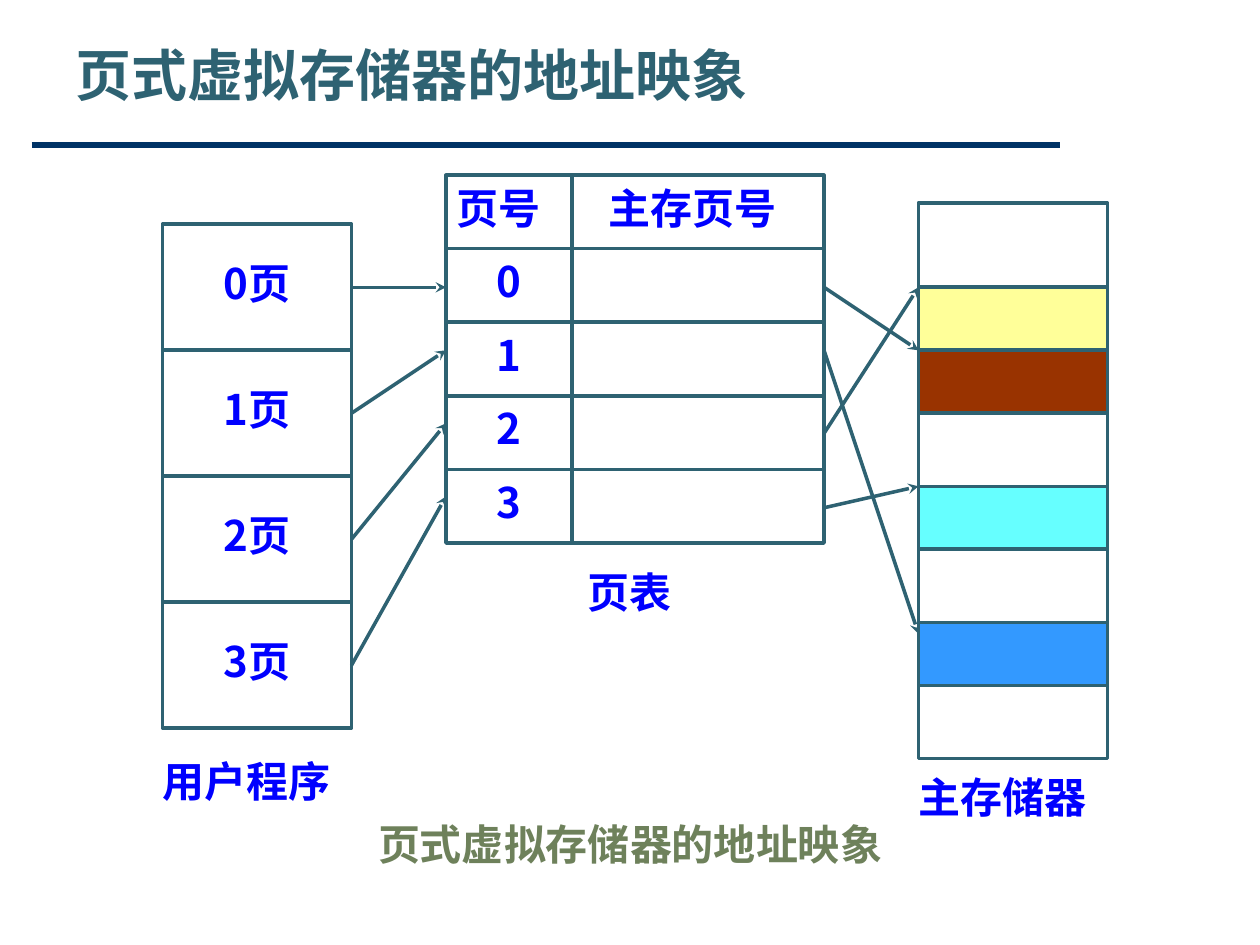
import pptx
import pptx.util
import pptx.dml.color
import pptx.enum.shapes
import pptx.enum.text
import pptx.oxml
import pptx.oxml.ns
from dataclasses import dataclass
from itertools import accumulate

Inches = pptx.util.Inches
Pt = pptx.util.Pt


@dataclass(frozen=True)
class Theme:
    font: str = "Noto Sans CJK SC"
    title_size: int = 32
    body_size: int = 24
    ink: str = "2E6272"
    rule: str = "003366"
    label: str = "0000FF"
    note: str = "6E815B"
    line: float = 2
    rule_line: float = 3


theme = Theme()

TITLE = "页式虚拟存储器的地址映象"
PROGRAM_PAGES = ["0页", "1页", "2页", "3页"]
TABLE_HEAD = [("页号", 0.08), ("主存页号", 0.04)]
TABLE_ROWS = ["0", "1", "2", "3"]
MEMORY_BLOCKS = [
    (0.67, None),
    (0.5, "FFFF99"),
    (0.5, "993300"),
    (0.58, None),
    (0.5, "66FFFF"),
    (0.58, None),
    (0.5, "3399FF"),
    (0.58, None),
]
PROGRAM_TO_TABLE = [(2.28, 2.28), (3.28, 2.78), (4.28, 3.36), (5.28, 3.94)]
TABLE_TO_MEMORY = [(2.28, 2.78), (2.78, 5.03), (3.44, 2.28), (4.03, 3.86)]
CAPTIONS = [
    ("用户程序", (1.04, 5.94, 2, 0.58), 0.08, theme.label),
    ("主存储器", (7.12, 6.11, 1.83, 0.5), 0.08, theme.label),
    ("页表", (4.04, 4.44, 2, 0.58), 0.04, theme.label),
    (TITLE, (2.21, 6.44, 5.58, 0.58), 0, theme.note),
]

PROGRAM_X, PROGRAM_Y, PAGE_H = 1.29, 1.78, 1
TABLE_X, TABLE_Y, ROW_H = 3.54, 1.39, 2.92 / 5
TABLE_COLS = [1, 2]
MEMORY_X, MEMORY_Y = 7.29, 1.61
BLOCK_W = 1.5


def rgb(color):
    return pptx.dml.color.RGBColor.from_string(color)


def style(p, size, color):
    p.font.name = theme.font
    p.font.size = Pt(size)
    p.font.bold = True
    p.font.color.rgb = rgb(color)
    latin = p.font._element.find(pptx.oxml.ns.qn("a:latin"))
    ea = pptx.oxml.parse_xml(
        f'<a:ea {pptx.oxml.ns.nsdecls("a")} typeface="{theme.font}"/>'
    )
    latin.addnext(ea)


def write_label(s, text, shift=0, color=theme.label):
    tf = s.text_frame
    tf.word_wrap = False
    tf.vertical_anchor = pptx.enum.text.MSO_ANCHOR.MIDDLE
    tf.margin_left = Inches(0.08)
    tf.margin_right = Inches(0.08 + 2 * shift)
    tf.margin_top = tf.margin_bottom = Inches(0.04)
    p = tf.paragraphs[0]
    p.text = text
    p.alignment = pptx.enum.text.PP_ALIGN.CENTER
    p.line_spacing = 0.8
    style(p, theme.body_size, color)


def add_cell(shapes, x, y, w, h, text="", fill=None, shift=0):
    s = shapes.add_shape(
        pptx.enum.shapes.MSO_SHAPE.RECTANGLE, *map(Inches, (x, y, w, h))
    )
    s.shadow.inherit = False
    if fill:
        s.fill.solid()
        s.fill.fore_color.rgb = rgb(fill)
    else:
        s.fill.background()
    s.line.color.rgb = rgb(theme.ink)
    s.line.width = Pt(theme.line)
    if text:
        write_label(s, text, shift)


def add_line(shapes, x1, y1, x2, y2, color, width, arrow=False):
    s = shapes.add_connector(
        pptx.enum.shapes.MSO_CONNECTOR.STRAIGHT, *map(Inches, (x1, y1, x2, y2))
    )
    s.line.color.rgb = rgb(color)
    s.line.width = Pt(width)
    ns = pptx.oxml.ns.nsdecls("a")
    if arrow:
        s.line._get_or_add_ln().append(
            pptx.oxml.parse_xml(f'<a:tailEnd {ns} type="stealth"/>')
        )
    s._element.spPr.append(pptx.oxml.parse_xml(f"<a:effectLst {ns}/>"))


def add_title(shapes):
    tf = shapes.add_textbox(*map(Inches, (0.5, 0.27, 9, 0.8))).text_frame
    tf.word_wrap = True
    p = tf.paragraphs[0]
    p.text = TITLE
    style(p, theme.title_size, theme.ink)


def main():
    prs = pptx.Presentation()
    prs.slide_width, prs.slide_height = Inches(10), Inches(7.5)
    shapes = prs.slides.add_slide(prs.slide_layouts[6]).shapes

    add_line(shapes, 0.25, 1.15, 8.41, 1.15, theme.rule, theme.rule_line)
    add_title(shapes)

    for i, text in enumerate(PROGRAM_PAGES):
        add_cell(shapes, PROGRAM_X, PROGRAM_Y + i * PAGE_H, BLOCK_W, PAGE_H, text)

    rows = [TABLE_HEAD] + [[(number, 0), ("", 0)] for number in TABLE_ROWS]
    col_x = list(accumulate(TABLE_COLS, initial=TABLE_X))
    for i, row in enumerate(rows):
        for x, w, (text, shift) in zip(col_x, TABLE_COLS, row):
            add_cell(shapes, x, TABLE_Y + i * ROW_H, w, ROW_H, text, shift=shift)

    tops = accumulate((h for h, _ in MEMORY_BLOCKS), initial=MEMORY_Y)
    for y, (h, fill) in zip(tops, MEMORY_BLOCKS):
        add_cell(shapes, MEMORY_X, y, BLOCK_W, h, fill=fill)

    for x1, x2, arrows in [
        (PROGRAM_X + BLOCK_W, TABLE_X, PROGRAM_TO_TABLE),
        (col_x[-1], MEMORY_X, TABLE_TO_MEMORY),
    ]:
        for y1, y2 in arrows:
            add_line(shapes, x1, y1, x2, y2, theme.ink, theme.line, arrow=True)

    for text, box, shift, color in CAPTIONS:
        write_label(shapes.add_textbox(*map(Inches, box)), text, shift, color)

    prs.save("out.pptx")


if __name__ == "__main__":
    main()
